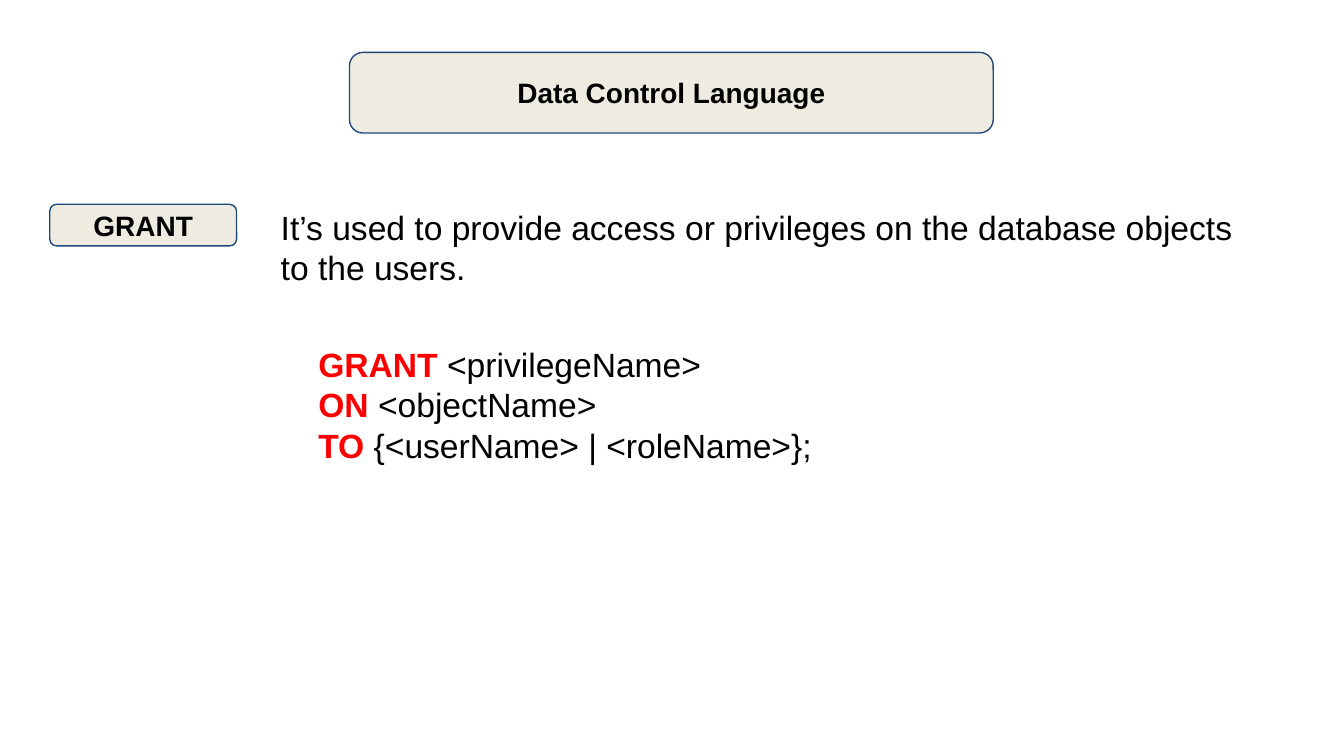
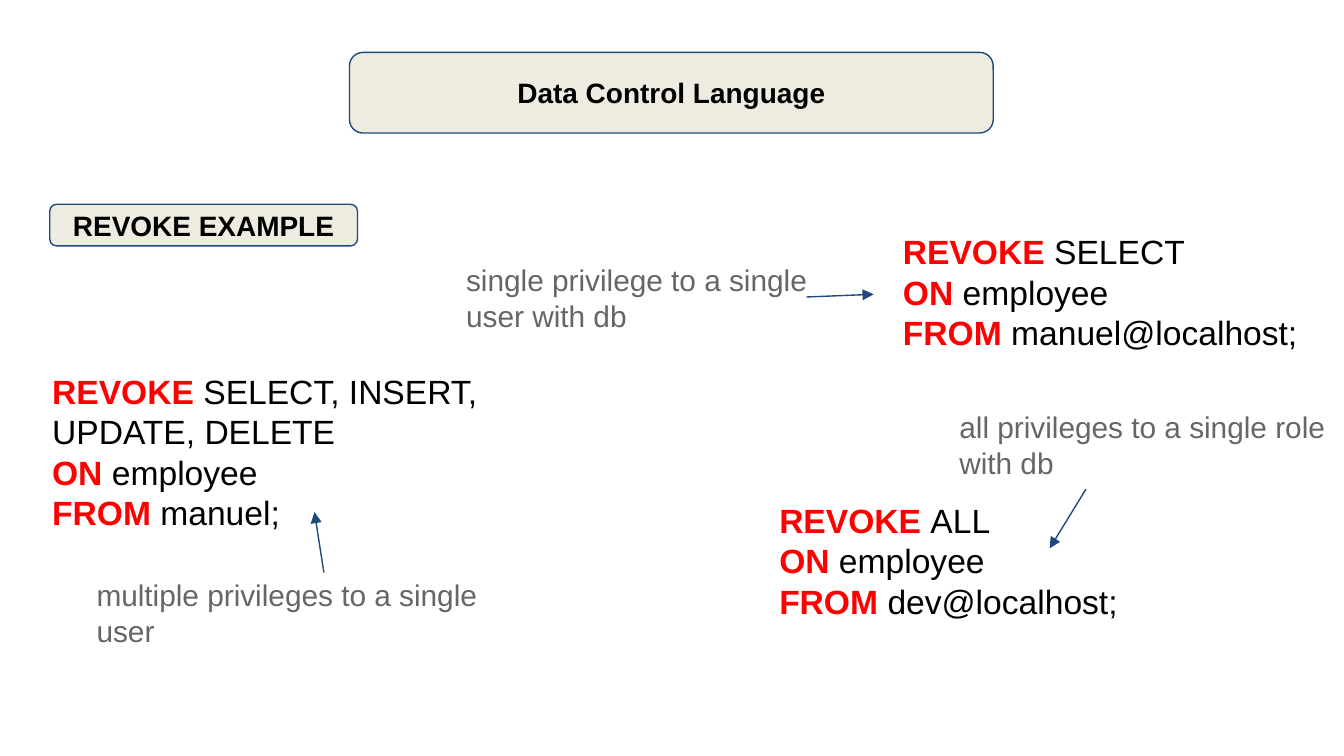
"""Build two slides on the Data Control Language: GRANT and REVOKE."""
from lxml.etree import SubElement
from pptx import Presentation
from pptx.dml.color import RGBColor
from pptx.enum.shapes import MSO_CONNECTOR as Link, MSO_SHAPE as Form
from pptx.enum.text import MSO_ANCHOR as Anchor, MSO_AUTO_SIZE as Fit, PP_ALIGN as Align
from pptx.oxml.ns import qn
from pptx.util import Inches, Pt

BLACK, RED, GREY = "000000", "FF0000", "666666"
CREAM, NAVY = "EEECE1", "1F497D"
FONT = "Arial"
TITLE = "Data Control Language"


def paint(color, value):
    color.rgb = RGBColor.from_string(value)


def style(font, size, color, bold=False):
    font.name, font.size, font.bold = FONT, Pt(size), bold
    paint(font.color, color)


def inset(frame):
    frame.word_wrap = True
    frame.auto_size = Fit.NONE
    frame.margin_left = frame.margin_right = Inches(0.1)
    frame.margin_top = frame.margin_bottom = Inches(0.1)


def add_panel(slide, left, top, width, height):
    panel = slide.shapes.add_shape(Form.ROUNDED_RECTANGLE, Inches(left), Inches(top),
                                   Inches(width), Inches(height))
    panel.shadow.inherit = False
    panel.fill.solid()
    paint(panel.fill.fore_color, CREAM)
    paint(panel.line.color, NAVY)
    panel.line.width = Pt(0.75)
    return panel


def add_label(shape, text):
    frame = shape.text_frame
    inset(frame)
    frame.vertical_anchor = Anchor.MIDDLE
    frame.text = text
    para = frame.paragraphs[0]
    para.alignment = Align.CENTER
    style(para.font, 15, BLACK, True)


def add_page(deck, label, width):
    slide = deck.slides.add_slide(deck.slide_layouts[5])
    title = slide.shapes.title
    band = add_panel(slide, 2.6, 0.39, 4.79, 0.6)
    title.element.addprevious(band.element)
    title.left, title.top = band.left, band.top
    title.width, title.height = band.width, band.height
    add_label(title, TITLE)
    add_label(add_panel(slide, 0.37, 1.52, width, 0.31), label)
    return slide


def add_box(slide, left, top, width, height):
    box = slide.shapes.add_textbox(Inches(left), Inches(top), Inches(width), Inches(height))
    inset(box.text_frame)
    return box.text_frame


def add_note(slide, text, left, top, width=3.13, height=0.68, size=16, color=GREY):
    frame = add_box(slide, left, top, width, height)
    frame.text = text
    style(frame.paragraphs[0].font, size, color)


def add_code(slide, left, top, width, lines):
    frame = add_box(slide, left, top, width, 1.15)
    for i, (key, rest) in enumerate(lines):
        para = frame.add_paragraph() if i else frame.paragraphs[0]
        run = para.add_run()
        run.text = key + " "
        style(run.font, 18, RED, True)
        for j, part in enumerate(rest.split("\n")):
            if j:
                para.add_line_break()
            run = para.add_run()
            run.text = part
            style(run.font, 18, BLACK)


def add_arrow(slide, *ends):
    arrow = slide.shapes.add_connector(Link.STRAIGHT, *map(Inches, ends))
    paint(arrow.line.color, NAVY)
    arrow.line.width = Pt(0.75)
    line = arrow.element.spPr.find(qn("a:ln"))
    SubElement(line, qn("a:tailEnd"), type="triangle")
    SubElement(arrow.element.spPr, qn("a:effectLst"))


def add_revoke(slide, left, top, width, what, who):
    add_code(slide, left, top, width,
             [("REVOKE", what), ("ON", "employee"), ("FROM", who + ";")])


def main():
    deck = Presentation()
    deck.slide_width = Inches(10)
    deck.slide_height = deck.slide_width * 9 // 16

    grant = add_page(deck, "GRANT", 1.39)
    add_note(grant, "It’s used to provide access or privileges on the database objects "
             "to the users.", 1.99, 1.44, 7.49, 0.46, 18, BLACK)
    add_code(grant, 2.27, 2.46, 5.45, [("GRANT", "<privilegeName>"), ("ON", "<objectName>"),
                                       ("TO", "{<userName> | <roleName>};")])

    revoke = add_page(deck, "REVOKE EXAMPLE", 2.29)
    add_revoke(revoke, 6.62, 1.62, 3.22, "SELECT", "manuel@localhost")
    add_revoke(revoke, 0.29, 2.66, 5.43, "SELECT, INSERT, \nUPDATE, DELETE", "manuel")
    add_revoke(revoke, 5.7, 3.62, 3.77, "ALL", "dev@localhost")
    add_arrow(revoke, 6, 2.21, 6.5, 2.19)
    add_note(revoke, "single privilege to a single user with db", 3.37, 1.85)
    add_note(revoke, "multiple privileges to a single user", 0.62, 4.19)
    add_arrow(revoke, 2.41, 4.26, 2.34, 3.81)
    add_note(revoke, "all privileges to a single role with db", 7.04, 2.94)
    add_arrow(revoke, 8.08, 3.64, 7.81, 4.08)

    deck.save("out.pptx")


if __name__ == "__main__":
    main()
